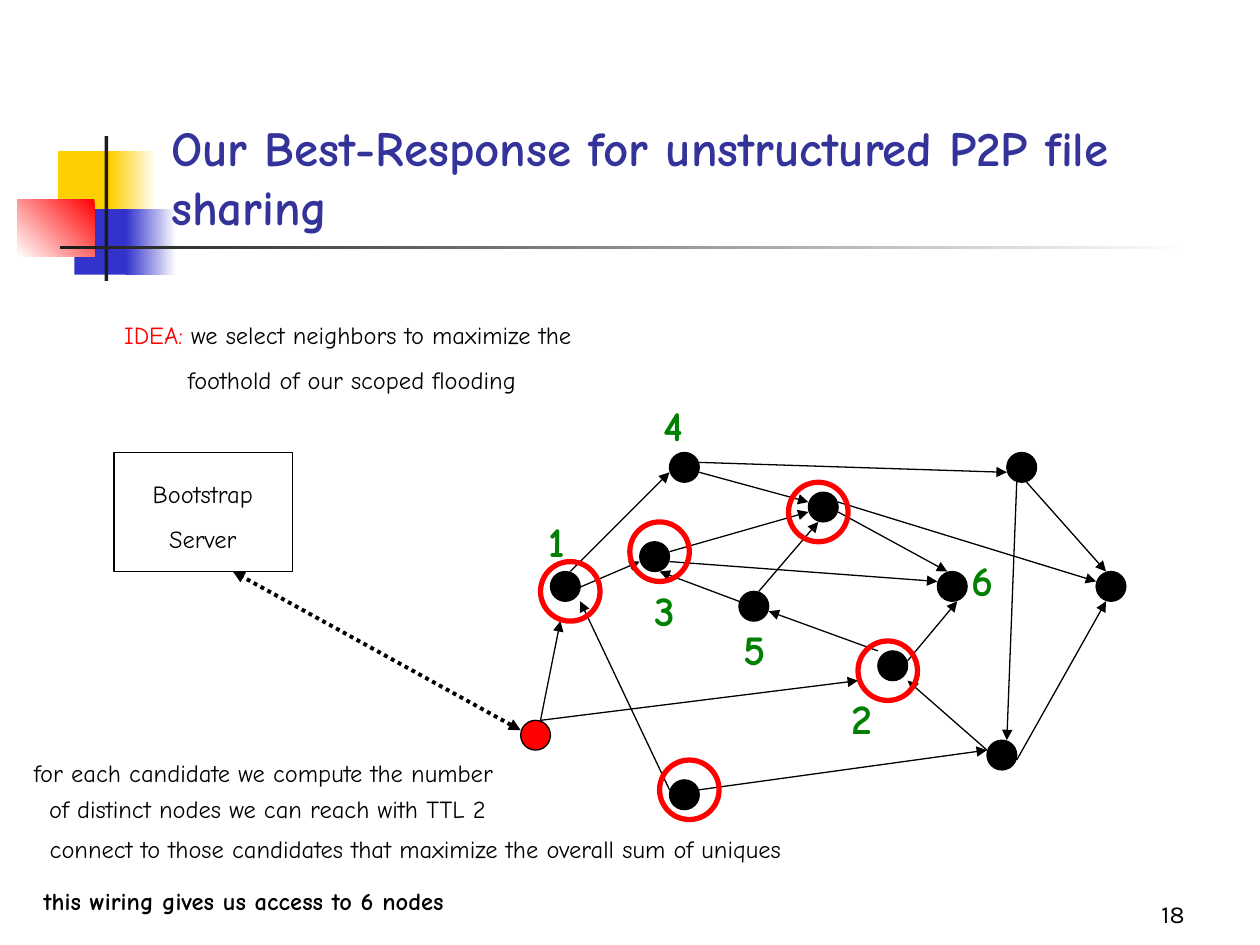
from typing import NamedTuple, Optional

from pptx import Presentation
from pptx import util as u
from pptx.dml.color import RGBColor
from pptx.enum import dml, shapes, text
from pptx.oxml.ns import qn
from lxml import etree

BLACK = RGBColor(0x00, 0x00, 0x00)
WHITE = RGBColor(0xFF, 0xFF, 0xFF)
INK = RGBColor(0x1C, 0x1C, 0x1C)
RED = RGBColor(0xFF, 0x00, 0x00)
YELLOW = RGBColor(0xFF, 0xCF, 0x01)
BLUE = RGBColor(0x33, 0x33, 0xCC)
NAVY = RGBColor(0x33, 0x33, 0x99)
GREEN = RGBColor(0x00, 0x80, 0x00)

FONT = "Comic Neue"
# The network sits on a 2 mm grid; cells are counted from this corner.
PITCH = u.Mm(2)
GRID_LEFT, GRID_TOP = u.Inches(4.29), u.Inches(3.67)
NODE_CELLS, RING_CELLS = 3, 6


class Band(NamedTuple):
    """Decoration block in inches; a faded block runs from start to end."""
    left: float
    top: float
    width: float
    height: float
    start: RGBColor
    end: Optional[RGBColor] = None
    angle: int = 180


class Span(NamedTuple):
    words: str
    color: RGBColor = BLACK


class Note(NamedTuple):
    """Text box in inches; each line is a list of spans."""
    left: float
    top: float
    width: float
    height: float
    lines: list
    size: int = 14
    bold: bool = False
    before: float = 3.5
    wrap: bool = False
    align: text.PP_ALIGN = text.PP_ALIGN.CENTER
    anchor: text.MSO_ANCHOR = text.MSO_ANCHOR.TOP
    font: str = FONT


class Link(NamedTuple):
    """Arrow between two grid points."""
    col: int
    row: int
    to_col: int
    to_row: int


BANDS = [
    Band(0.46, 1.2, 0.48, 0.52, YELLOW),
    Band(0.88, 1.2, 0.36, 0.52, WHITE, YELLOW),
    Band(0.59, 1.66, 0.46, 0.52, BLUE),
    Band(1, 1.66, 0.4, 0.52, WHITE, BLUE),
    Band(0.14, 1.58, 0.61, 0.46, RED, WHITE, 225),
    Band(0.83, 1.08, 0.03, 1.15, INK),
    Band(0.48, 1.95, 9, 0.03, WHITE, INK),
]

NEWCOMER = (-2, 26)
NODES = [(10, 8), (20, 13), (34, 19), (13, 32), (13, -1), (27, 3),
         (40, 11), (45, 28), (56, 11), (47, -1), (1, 11)]
RINGS = [(0, 10), (9, 6), (25, 2), (12, 30), (32, 18)]
LINKS = [
    Link(0, 26, 2, 16), Link(0, 26, 32, 22),
    Link(3, 11, 13, 1), Link(3, 13, 10, 10),
    Link(13, 9, 27, 5), Link(13, 10, 40, 12),
    Link(16, 33, 45, 29), Link(37, 20, 42, 14),
    Link(34, 19, 23, 15), Link(16, 1, 27, 4),
    Link(16, 0, 47, 1), Link(22, 13, 28, 6),
    Link(20, 14, 12, 11), Link(13, 33, 4, 14),
    Link(30, 5, 41, 11), Link(30, 4, 56, 12),
    Link(49, 2, 57, 11), Link(48, 2, 47, 28),
    Link(45, 29, 37, 22), Link(48, 30, 57, 14),
]
BOOTSTRAP_LINK = Link(-2, 27, -31, 11)

NOTES = [
    Note(0.43, 2.49, 4.73, 1.05,
         [[Span("IDEA:", RED), Span(" we select neighbors to maximize the ")],
          [Span("foothold of our scoped flooding")]], before=8.8, wrap=True),
    Note(0.9, 3.75, 1.42, 0.69, [[Span("Bootstrap")], [Span("Server")]],
         before=8.8, wrap=True),
    Note(0.16, 5.97, 3.93, 0.62,
         [[Span("for each candidate we compute the number ")],
          [Span("of distinct nodes we can reach with TTL 2")]]),
    Note(0.28, 6.57, 6.04, 0.34, [[Span(
        "connect to those candidates that maximize the overall sum of uniques")]]),
    Note(0.24, 6.98, 3.39, 0.34,
         [[Span("this wiring gives us access to 6 nodes")]], bold=True),
    Note(7.42, 6.92, 2.08, 0.5, [[Span("18")]], wrap=True,
         align=text.PP_ALIGN.RIGHT, anchor=text.MSO_ANCHOR.BOTTOM, font="Karla"),
]
# Left, top and width of the numbers 1 to 6
NUMBERS = [(4.25, 4.04, 0.33), (6.66, 5.45, 0.36), (5.1, 4.59, 0.36),
           (5.17, 3.12, 0.35), (5.8, 4.9, 0.37), (7.61, 4.35, 0.37)]


def apply(target, values: dict) -> None:
    for name, value in values.items():
        setattr(target, name, value)


def grid_point(col: int, row: int) -> tuple:
    return GRID_LEFT + col * PITCH, GRID_TOP + row * PITCH


def draw_band(page, band: Band) -> None:
    box = page.shapes.add_shape(shapes.MSO_SHAPE.RECTANGLE,
                                *(u.Inches(length) for length in band[:4]))
    box.shadow.inherit = False
    box.line.fill.background()
    if band.end is None:
        box.fill.solid()
        box.fill.fore_color.rgb = band.start
        return
    box.fill.gradient()
    box.fill.gradient_angle = band.angle
    for stop, color, position in zip(box.fill.gradient_stops,
                                     (band.start, band.end), (0, 1)):
        stop.color.rgb = color
        stop.position = position


def draw_cell_shape(page, kind, cell: tuple, cols: int, rows: int,
                    fill: Optional[RGBColor] = None,
                    line: RGBColor = BLACK, weight: float = 0.75) -> None:
    box = page.shapes.add_shape(kind, *grid_point(*cell), cols * PITCH, rows * PITCH)
    box.shadow.inherit = False
    if fill is None:
        box.fill.background()
    else:
        box.fill.solid()
        box.fill.fore_color.rgb = fill
    box.line.color.rgb = line
    box.line.width = u.Pt(weight)


def draw_link(page, link: Link, weight: float = 0.75, dash=None,
              ends: tuple = ("a:tailEnd",)) -> None:
    arrow = page.shapes.add_connector(shapes.MSO_CONNECTOR.STRAIGHT,
                                      *grid_point(link.col, link.row),
                                      *grid_point(link.to_col, link.to_row))
    arrow.line.color.rgb = BLACK
    apply(arrow.line, {"width": u.Pt(weight), "dash_style": dash})
    outline = arrow.line._get_or_add_ln()
    for end in ends:
        etree.SubElement(outline, qn(end), type="triangle")
    etree.SubElement(arrow._element.spPr, qn("a:effectLst"))


def draw_note(page, note: Note) -> None:
    box = page.shapes.add_textbox(*(u.Inches(length) for length in note[:4]))
    frame = box.text_frame
    apply(frame, {"word_wrap": note.wrap, "vertical_anchor": note.anchor})
    for index, line in enumerate(note.lines):
        para = frame.paragraphs[0] if index == 0 else frame.add_paragraph()
        para.alignment = note.align
        if index:
            para.space_before = u.Pt(note.before)
        for span in line:
            run = para.add_run()
            run.text = span.words
            apply(run.font, {"name": note.font, "size": u.Pt(note.size),
                             "bold": note.bold})
            run.font.color.rgb = span.color


def draw_title(page, words: str) -> None:
    title = page.shapes.title
    apply(title, {"left": u.Inches(1.26), "top": u.Inches(0.67),
                  "width": u.Inches(8.52), "height": u.Inches(1.25)})
    title.text_frame.text = words
    apply(title.text_frame, {"vertical_anchor": text.MSO_ANCHOR.BOTTOM,
                             "auto_size": text.MSO_AUTO_SIZE.NONE})
    para = title.text_frame.paragraphs[0]
    para.alignment = text.PP_ALIGN.LEFT
    font = para.runs[0].font
    apply(font, {"name": FONT, "size": u.Pt(28), "bold": True})
    font.color.rgb = NAVY
    page.shapes._spTree.append(title._element)  # in front of the blocks


def main() -> None:
    deck = Presentation()
    apply(deck, {"slide_width": u.Inches(10), "slide_height": u.Inches(7.5)})
    page = deck.slides.add_slide(deck.slide_layouts.get_by_name("Title Only"))

    # Decoration and title
    for band in BANDS:
        draw_band(page, band)
    draw_title(page, "Our Best-Response for unstructured P2P file sharing")

    # Network
    oval = shapes.MSO_SHAPE.OVAL
    for cell, fill in [(NEWCOMER, RED)] + [(node, BLACK) for node in NODES]:
        draw_cell_shape(page, oval, cell, NODE_CELLS, NODE_CELLS, fill)
    for link in LINKS:
        draw_link(page, link)
    draw_cell_shape(page, shapes.MSO_SHAPE.RECTANGLE, (-43, -1), 18, 12)
    draw_link(page, BOOTSTRAP_LINK, 2.25, dml.MSO_LINE.ROUND_DOT,
              ("a:headEnd", "a:tailEnd"))
    for ring in RINGS:
        draw_cell_shape(page, oval, ring, RING_CELLS, RING_CELLS, line=RED, weight=3)

    # Texts and node numbers
    for note in NOTES:
        draw_note(page, note)
    for number, (left, top, width) in enumerate(NUMBERS, start=1):
        draw_note(page, Note(left, top, width, 0.5, [[Span(str(number), GREEN)]],
                             size=24, bold=True))
    deck.save("out.pptx")


if __name__ == "__main__":
    main()
